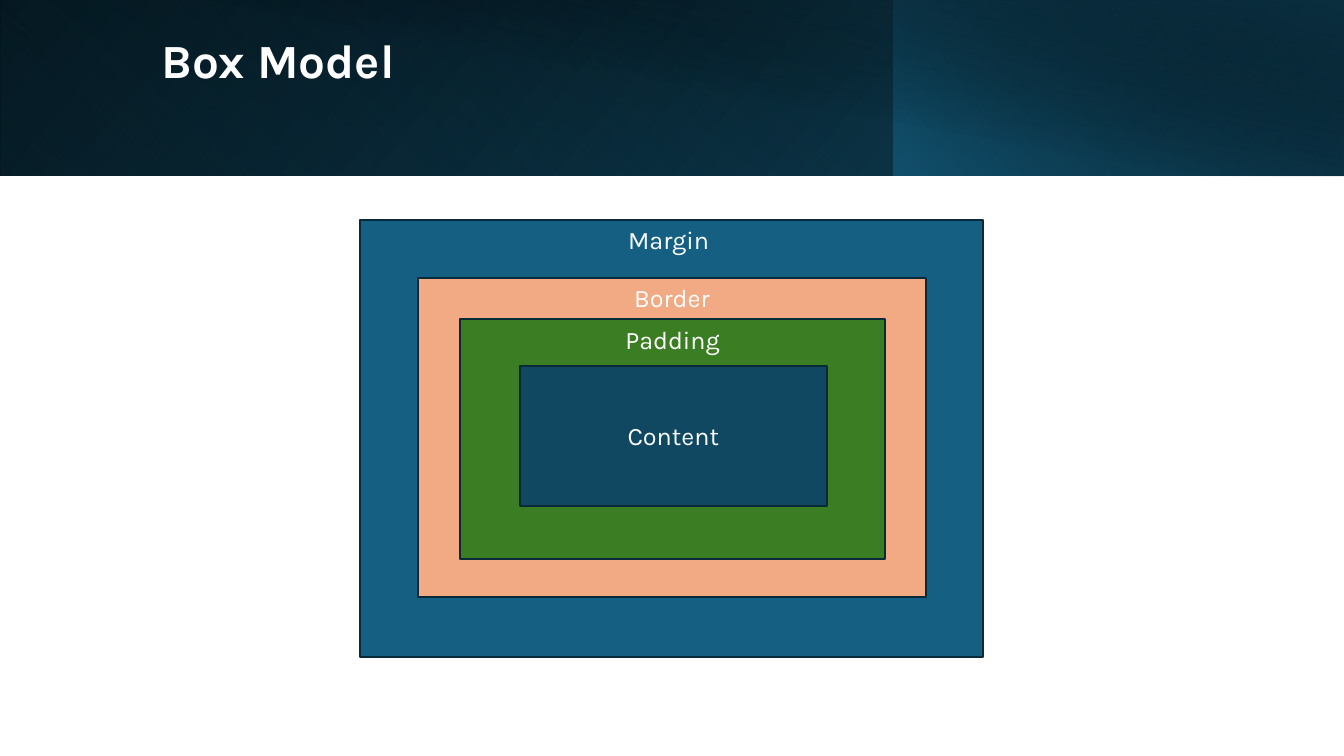
from dataclasses import dataclass

from lxml.etree import SubElement
from pptx import Presentation
from pptx.dml.color import RGBColor
from pptx.enum.shapes import MSO_SHAPE
from pptx.enum.text import MSO_ANCHOR, MSO_AUTO_SIZE, PP_ALIGN
from pptx.oxml.ns import qn
from pptx.shapes.autoshape import Shape
from pptx.shapes.group import GroupShape
from pptx.slide import Slide
from pptx.text.text import _Paragraph
from pptx.util import Pt

FONT = "Karla"
WHITE = "FFFFFF"
OUTLINE = "092A39"


@dataclass(frozen=True)
class Stop:
    position: int
    color: str
    opacity: int = 100


@dataclass(frozen=True)
class Band:
    left: float
    width: float
    height: float
    angle: int
    stops: tuple[Stop, Stop]
    flipped: bool = True
    rotation: int = 0


@dataclass(frozen=True)
class Layer:
    label: str
    left: float
    top: float
    width: float
    height: float
    color: str
    anchor: MSO_ANCHOR = MSO_ANCHOR.TOP


BANDS = (
    Band(0, 960, 125.5, 140, (Stop(0, "000000"), Stop(100, "104862"))),
    Band(0, 639, 125.5, 230, (Stop(20, "156082", 0), Stop(100, "0B3041", 55)), rotation=180),
    Band(638.6, 321.4, 125.5, 220, (Stop(0, "156082", 66), Stop(100, "000000", 30))),
    Band(36, 924, 126, 280, (Stop(50, "000000", 0), Stop(99, "0B3041", 52)), flipped=False),
)

LAYERS = (
    Layer("Margin ", 257, 157, 445.5, 312.5, "156082"),
    Layer("Border", 298.8, 198.3, 362.4, 228.4, "F2AA84"),
    Layer("Padding", 328.5, 228, 304, 171.2, "3B7D23"),
    Layer("Content", 371.3, 261.3, 219.3, 100, "104862", MSO_ANCHOR.MIDDLE),
)


def rgb(color: str) -> RGBColor:
    return RGBColor.from_string(color)


def add_span(para: _Paragraph, text: str, size: float, bold: bool = False) -> None:
    span = para.add_run()
    span.text = text
    span.font.name = FONT
    span.font.size = Pt(size)
    span.font.bold = bold
    span.font.color.rgb = rgb(WHITE)


def fill_gradient(shape: Shape, band: Band) -> None:
    shape.fill.gradient()
    gradient = shape.element.spPr.find(qn("a:gradFill"))
    for child in list(gradient):
        gradient.remove(child)
    stop_list = SubElement(gradient, qn("a:gsLst"))
    for stop in band.stops:
        mark = SubElement(stop_list, qn("a:gs"), pos=str(stop.position * 1000))
        color = SubElement(mark, qn("a:srgbClr"), val=stop.color)
        if stop.opacity < 100:
            SubElement(color, qn("a:alpha"), val=str(stop.opacity * 1000))
    SubElement(gradient, qn("a:lin"), ang=str(band.angle * 60000), scaled="0")


def add_band(page: Slide, band: Band) -> None:
    shape = page.shapes.add_shape(
        MSO_SHAPE.RECTANGLE, Pt(band.left), Pt(0), Pt(band.width), Pt(band.height)
    )
    shape.shadow.inherit = False
    shape.line.fill.background()
    shape.rotation = band.rotation
    if band.flipped:
        shape.element.spPr.find(qn("a:xfrm")).set("flipH", "1")
    fill_gradient(shape, band)


def add_layer(group: GroupShape, layer: Layer) -> None:
    box = group.shapes.add_shape(
        MSO_SHAPE.RECTANGLE, Pt(layer.left), Pt(layer.top), Pt(layer.width), Pt(layer.height)
    )
    box.shadow.inherit = False
    box.fill.solid()
    box.fill.fore_color.rgb = rgb(layer.color)
    box.line.color.rgb = rgb(OUTLINE)
    box.line.width = Pt(1.5)
    box.text_frame.vertical_anchor = layer.anchor
    para = box.text_frame.paragraphs[0]
    para.alignment = PP_ALIGN.CENTER
    add_span(para, layer.label, 18)


def format_title(page: Slide, text: str) -> None:
    title = page.shapes.title
    title.left, title.top, title.width, title.height = Pt(108), Pt(23), Pt(779), Pt(81.4)
    frame = title.text_frame
    frame.auto_size = MSO_AUTO_SIZE.NONE
    frame.word_wrap = True
    frame.vertical_anchor = MSO_ANCHOR.TOP
    para = frame.paragraphs[0]
    para.alignment = PP_ALIGN.LEFT
    para.line_spacing = 0.9
    add_span(para, text, 34, bold=True)
    title.element.getparent().append(title.element)


def main() -> None:
    deck = Presentation()
    deck.slide_width, deck.slide_height = Pt(960), Pt(540)
    page = deck.slides.add_slide(deck.slide_layouts.get_by_name("Title Only"))
    for band in BANDS:
        add_band(page, band)
    format_title(page, "Box Model")
    group = page.shapes.add_group_shape()
    for layer in LAYERS:
        add_layer(group, layer)
    deck.save("out.pptx")


if __name__ == "__main__":
    main()
